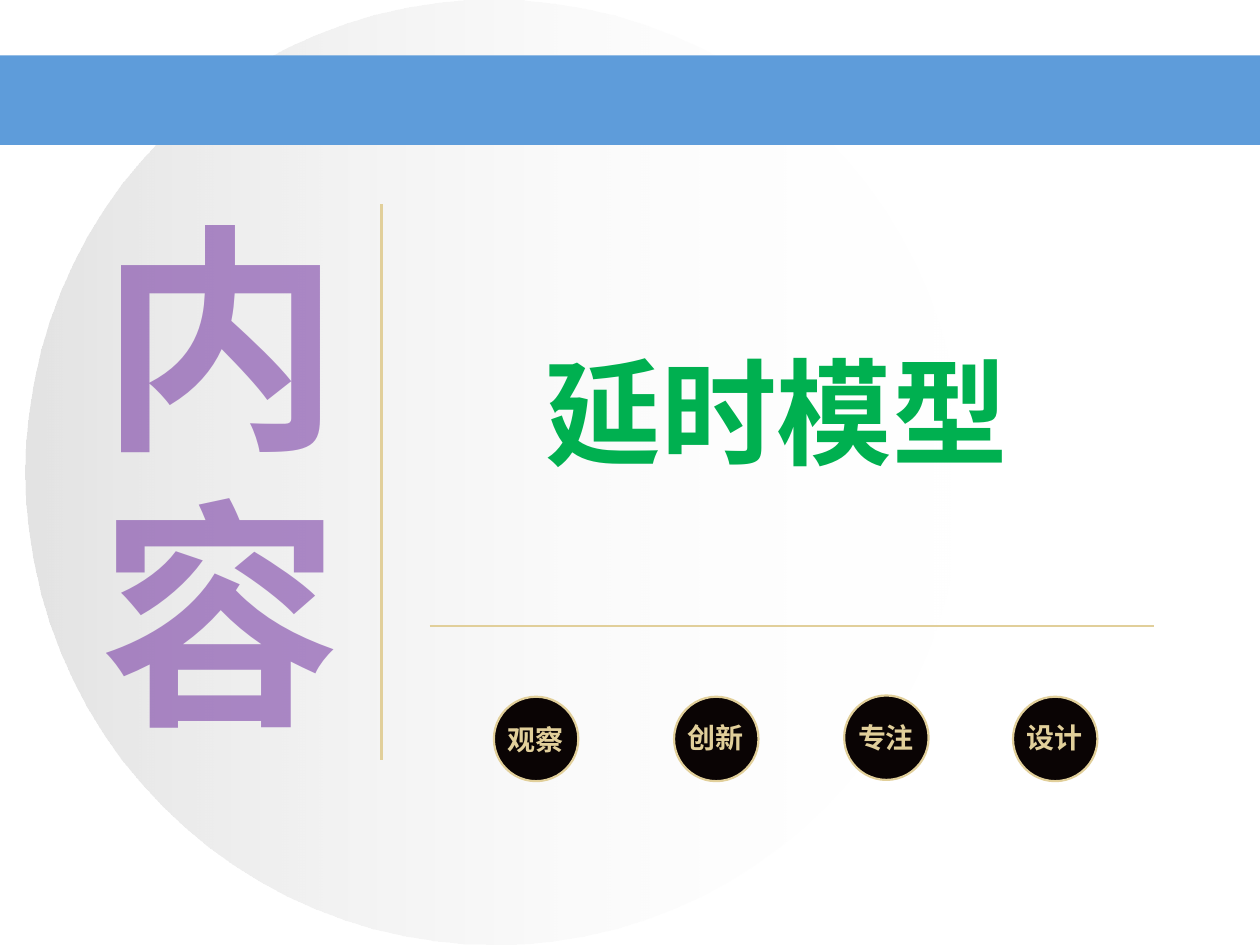
"""Build a section slide with a two-character title, a topic and four round badges."""
from lxml.etree import SubElement
from pptx import Presentation
from pptx.dml.color import RGBColor
from pptx.enum.shapes import MSO_CONNECTOR, MSO_SHAPE
from pptx.enum.text import MSO_ANCHOR, MSO_AUTO_SIZE
from pptx.oxml.ns import qn
from pptx.util import Inches, Pt

COLORS = {
    "gray": "C0C0C0",
    "white": "FFFFFF",
    "blue": "5E9CDA",
    "purple": "7030A0",
    "green": "00B050",
    "gold": "E1CF9A",
    "black": "0A0404",
}
FONT = "Noto Sans CJK SC"


def rgb(name):
    return RGBColor.from_string(COLORS[name])


def add_text(shapes, text, left, top, width, height, size, color, wrap=False, alpha=None):
    box = shapes.add_textbox(Inches(left), Inches(top), Inches(width), Inches(height))
    frame = box.text_frame
    frame.word_wrap = wrap
    frame.auto_size = MSO_AUTO_SIZE.NONE
    frame.vertical_anchor = MSO_ANCHOR.MIDDLE
    frame.margin_left = frame.margin_right = Inches(0.07)
    frame.margin_top = frame.margin_bottom = Inches(0.04)
    run = frame.paragraphs[0].add_run()
    run.text = text
    run.font.size = Pt(size)
    run.font.bold = True
    run.font.name = FONT
    run.font.color.rgb = rgb(color)
    SubElement(run.font._element, qn("a:ea"), typeface=FONT)
    if alpha is not None:
        for fill_color in box.element.iter(qn("a:srgbClr")):
            SubElement(fill_color, qn("a:alpha"), val=str(alpha * 1000))


presentation = Presentation()
presentation.slide_width = Inches(10)
presentation.slide_height = Inches(7.5)
slide = presentation.slides.add_slide(presentation.slide_layouts[6])
shapes = slide.shapes

disc = shapes.add_shape(MSO_SHAPE.OVAL, Inches(0.2), Inches(0), Inches(7.44), Inches(7.5))
disc.shadow.inherit = False
disc.line.fill.background()
disc.fill.gradient()
disc.fill.gradient_angle = 0
for stop, color in zip(disc.fill.gradient_stops, ("gray", "white")):
    stop.color.rgb = rgb(color)
for stop_color, alpha in zip(list(disc.element.iter(qn("a:srgbClr"))), (44, 0)):
    SubElement(stop_color, qn("a:alpha"), val=str(alpha * 1000))

band = shapes.add_shape(MSO_SHAPE.RECTANGLE, Inches(0), Inches(0.44), Inches(10), Inches(0.71))
band.shadow.inherit = False
band.fill.solid()
band.fill.fore_color.rgb = rgb("blue")
band.line.fill.background()

for character, top in (("内", 1.45), ("容", 3.64)):
    add_text(shapes, character, 0.72, top, 2.09, 2.4, size=138, color="purple", alpha=55)

badges = (
    ("观察", 3.92, 5.53, 5.69),
    ("创新", 5.35, 5.53, 5.68),
    ("专注", 6.7, 5.52, 5.68),
    ("设计", 8.04, 5.53, 5.68),
)
for label, left, top, label_top in badges:
    group = shapes.add_group_shape()
    circle = group.shapes.add_shape(
        MSO_SHAPE.OVAL, Inches(left), Inches(top), Inches(0.67), Inches(0.67)
    )
    circle.shadow.inherit = False
    circle.fill.solid()
    circle.fill.fore_color.rgb = rgb("black")
    circle.line.color.rgb = rgb("gold")
    circle.line.width = Pt(1.25)
    add_text(group.shapes, label, left + 0.04, label_top, 0.6, 0.35,
             size=16, color="gold", wrap=True)

add_text(shapes, "延时模型", 4.26, 2.66, 3.85, 1.19, size=66, color="green")

for start_x, start_y, end_x, end_y in ((3.41, 4.97, 9.16, 4.97), (3.03, 1.62, 3.03, 6.03)):
    rule = shapes.add_connector(
        MSO_CONNECTOR.STRAIGHT, Inches(start_x), Inches(start_y), Inches(end_x), Inches(end_y)
    )
    rule.line.color.rgb = rgb("gold")
    rule.line.width = Pt(1.5)
    SubElement(rule.element.spPr, qn("a:effectLst"))

presentation.save("out.pptx")
